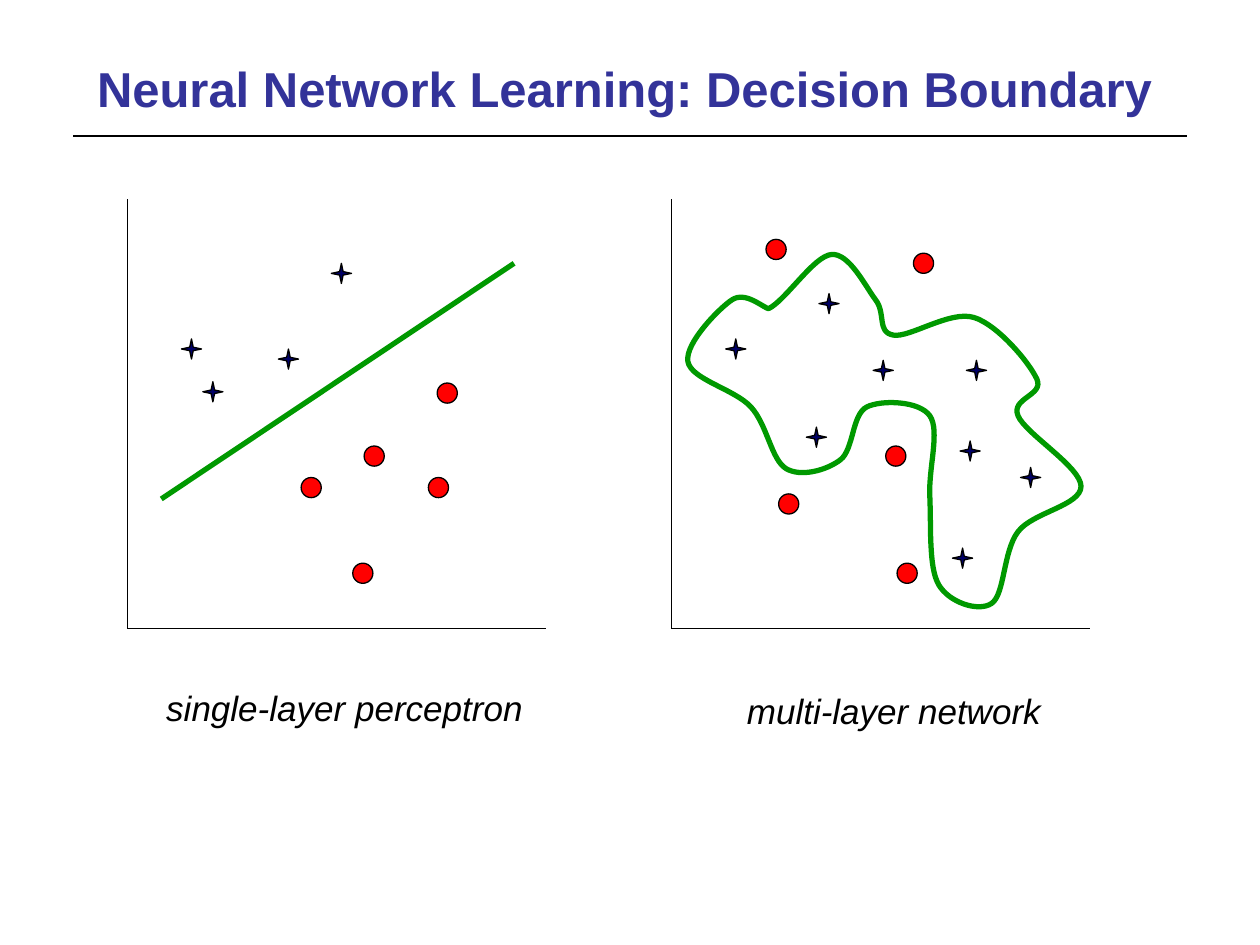
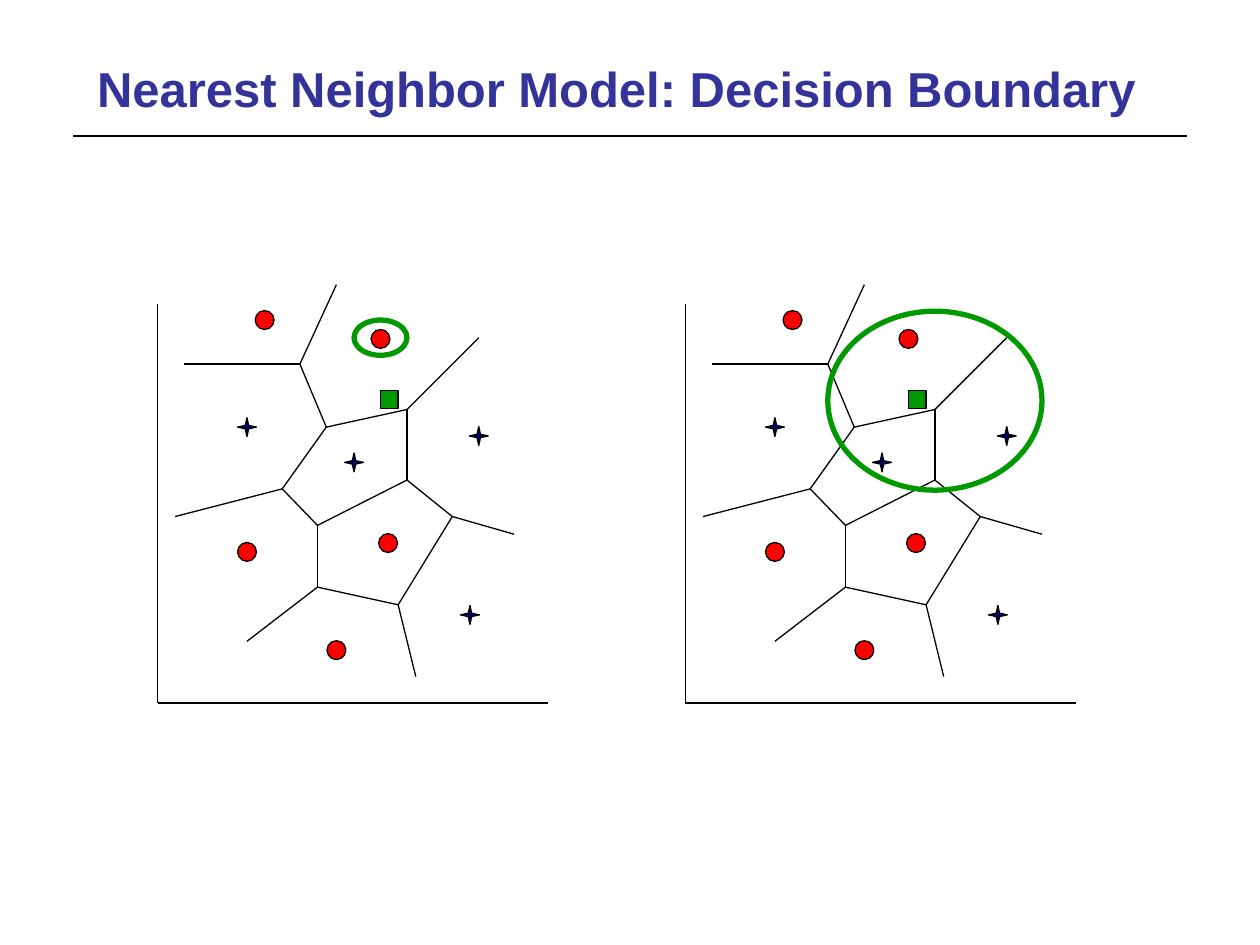
from dataclasses import dataclass
from itertools import pairwise

from pptx import Presentation
from pptx.dml.color import RGBColor
from pptx.enum.shapes import MSO_CONNECTOR as Connector, MSO_SHAPE as Preset
from pptx.enum.text import MSO_ANCHOR as Anchor, MSO_AUTO_SIZE as AutoSize, PP_ALIGN as Align
from pptx.oxml.ns import qn
from pptx.util import Inches, Pt


@dataclass(frozen=True)
class Theme:
    """Colours, type sizes and line widths shared by the slides."""
    title: RGBColor = RGBColor(0x33, 0x33, 0x99)
    ink: RGBColor = RGBColor(0, 0, 0)
    star: RGBColor = RGBColor(0, 0, 0x66)
    dot: RGBColor = RGBColor(0xFF, 0, 0)
    accent: RGBColor = RGBColor(0, 0x99, 0)
    font: str = "Arial"
    title_size: int = 28
    caption_size: int = 20
    thin: float = 0.75
    rule: float = 1
    thick: float = 3


THEME = Theme()

LINEAR_STARS = [(1.7, 0.59), (1.28, 1.27), (0.68, 1.53), (0.51, 1.19)]
LINEAR_DOTS = [(1.96, 2.04), (2.47, 2.29), (1.87, 2.97), (2.54, 1.54), (1.46, 2.29)]
LINEAR_BOUNDARY = [(0.27, 2.38), (3.07, 0.51)]

CURVED_STARS = [(2.42, 1.36), (2.31, 2.85), (1.68, 1.36), (0.51, 1.19),
                (1.25, 0.83), (1.15, 1.89), (2.37, 2.0), (2.85, 2.21)]
CURVED_DOTS = [(1.78, 2.04), (0.93, 2.42), (1.87, 2.97), (2.0, 0.51), (0.83, 0.4)]
CURVED_BOUNDARY = [
    (0.77, 0.87), (1.27, 0.44), (1.62, 0.8), (1.76, 1.08), (2.4, 0.94),
    (2.9, 1.43), (2.75, 1.72), (3.25, 2.28), (2.75, 2.64), (2.54, 3.21),
    (2.12, 3.06), (2.05, 2.36), (2.05, 1.72), (1.55, 1.65), (1.34, 2.07),
    (0.91, 2.14), (0.63, 1.65), (0.13, 1.29), (0.48, 0.8)]

NEIGHBOR_STARS = [(2.55, 1.05), (2.48, 2.47), (1.56, 1.26), (0.71, 0.98)]
NEIGHBOR_DOTS = [(1.83, 1.9), (0.71, 1.97), (1.42, 2.75), (1.77, 0.28), (0.85, 0.13)]
QUERY_POINT = (1.84, 0.76)
CORNERS = {
    "a": (1.13, 0.48), "b": (1.34, 0.98), "c": (1.98, 0.84),
    "d": (0.99, 1.47), "e": (1.27, 1.76), "f": (1.27, 2.25),
    "g": (1.98, 1.4), "h": (2.34, 1.69), "i": (1.91, 2.39)}
CELL_TRAILS = ["abcged", "bd", "efihg"]
OPEN_EDGES = [("a", (0.21, 0.48)), ("a", (1.42, -0.15)), ("c", (2.55, 0.27)),
              ("d", (0.14, 1.69)), ("f", (0.71, 2.68)), ("h", (2.83, 1.83)),
              ("i", (2.05, 2.96))]


def draw_line(shapes, start, end, color=THEME.ink, weight=THEME.thin):
    """Draw a straight line between two points given in inches."""
    line = shapes.add_connector(Connector.STRAIGHT, *map(Inches, (*start, *end)))
    line.line.color.rgb = color
    line.line.width = Pt(weight)
    properties = line._element.spPr
    properties.append(properties.makeelement(qn("a:effectLst"), {}))


def style_shape(shape, fill, color, weight):
    """Give a shape its fill and outline, without a shadow."""
    shape.shadow.inherit = False
    if fill is None:
        shape.fill.background()
    else:
        shape.fill.solid()
        shape.fill.fore_color.rgb = fill
    shape.line.color.rgb = color
    shape.line.width = Pt(weight)


def smooth_loop(anchors, steps=16):
    """Return points of a Catmull-Rom curve that starts and ends at the first anchor."""
    padded = anchors[-1:] + anchors + anchors[:1] * 2
    points = [anchors[0]]
    for span in zip(padded, padded[1:], padded[2:], padded[3:]):
        for step in range(1, steps + 1):
            t = step / steps
            points.append(tuple(
                start + t / 2 * (end - before
                                 + t * (2 * before - 5 * start + 4 * end - after)
                                 + t * t * (3 * (start - end) + after - before))
                for before, start, end, after in zip(*span)))
    return points


class Plot:
    """A pair of axes whose contents are placed from its top left corner."""

    def __init__(self, page, box, marker_size):
        """Draw the two axes along the left and bottom of the box."""
        self.left, self.top, width, height = box
        self.marker_size = marker_size
        self.shapes = page.shapes.add_group_shape().shapes
        self.line((0, 0), (0, height))
        self.line((0, height), (width, height))

    def place(self, point):
        """Turn a point of the plot into a point of the slide."""
        return self.left + point[0], self.top + point[1]

    def line(self, start, end, color=THEME.ink, weight=THEME.thin):
        """Draw a line between two points of the plot."""
        draw_line(self.shapes, self.place(start), self.place(end), color, weight)

    def mark(self, preset, center, size, fill, color=THEME.ink, weight=THEME.thin):
        """Draw a preset shape around a point of the plot."""
        x, y = self.place(center)
        width, height = size
        shape = self.shapes.add_shape(
            preset, *map(Inches, (x - width / 2, y - height / 2, width, height)))
        style_shape(shape, fill, color, weight)
        return shape

    def samples(self, stars, dots):
        """Draw the members of the two classes."""
        size = (self.marker_size, self.marker_size)
        for center in stars:
            self.mark(Preset.STAR_4_POINT, center, size, THEME.star).adjustments[0] = 0.125
        for center in dots:
            self.mark(Preset.OVAL, center, size, THEME.dot)

    def ring(self, center, size):
        """Draw an open ellipse around a neighborhood."""
        self.mark(Preset.OVAL, center, size, None, THEME.accent, THEME.thick)

    def loop(self, anchors):
        """Draw a smooth closed boundary through the anchors."""
        start, *rest = [tuple(map(Inches, self.place(point)))
                        for point in smooth_loop(anchors)]
        builder = self.shapes.build_freeform(*start)
        builder.add_line_segments(rest, close=True)
        style_shape(builder.convert_to_shape(), None, THEME.accent, THEME.thick)


def format_text(para, size, color, bold=False, italic=False):
    """Format every run of a paragraph."""
    for span in para.runs:
        span.font.name = THEME.font
        span.font.size = Pt(size)
        span.font.color.rgb = color
        span.font.bold = bold
        span.font.italic = italic


def add_page(deck, heading):
    """Add a title-only slide with its heading and the rule below it."""
    page = deck.slides.add_slide(deck.slide_layouts[5])
    title = page.shapes.title
    title.left, title.top, title.width, title.height = map(Inches, (0.67, 0.42, 8.67, 1))
    frame = title.text_frame
    frame.text = heading
    frame.auto_size = AutoSize.NONE
    frame.vertical_anchor = Anchor.TOP
    frame.margin_top = Inches(0.04)
    frame.paragraphs[0].alignment = Align.LEFT
    format_text(frame.paragraphs[0], THEME.title_size, THEME.title, bold=True)
    draw_line(page.shapes, (0.58, 1.08), (9.42, 1.08), weight=THEME.rule)
    return page


def add_caption(page, box, text):
    """Add a centred italic caption."""
    frame = page.shapes.add_textbox(*map(Inches, box)).text_frame
    frame.text = text
    frame.word_wrap = False
    frame.auto_size = AutoSize.SHAPE_TO_FIT_TEXT
    frame.paragraphs[0].alignment = Align.CENTER
    format_text(frame.paragraphs[0], THEME.caption_size, THEME.ink, italic=True)


def add_neighbor_plot(page, box, ring_center, ring_size):
    """Draw the samples, their cells, the query point and its neighborhood."""
    plot = Plot(page, box, 0.15)
    plot.samples(NEIGHBOR_STARS, NEIGHBOR_DOTS)
    for trail in CELL_TRAILS:
        for start, end in pairwise(trail):
            plot.line(CORNERS[start], CORNERS[end])
    for corner, end in OPEN_EDGES:
        plot.line(CORNERS[corner], end)
    plot.mark(Preset.RECTANGLE, QUERY_POINT, (0.14, 0.14), THEME.accent)
    plot.ring(ring_center, ring_size)


def add_network_page(deck):
    """Compare the boundaries of one layer and of several layers."""
    page = add_page(deck, "Neural Network Learning: Decision Boundary")
    linear = Plot(page, (1.01, 1.58, 3.32, 3.41), 0.16)
    linear.samples(LINEAR_STARS, LINEAR_DOTS)
    linear.line(*LINEAR_BOUNDARY, THEME.accent, THEME.thick)
    curved = Plot(page, (5.33, 1.58, 3.32, 3.41), 0.16)
    curved.samples(CURVED_STARS, CURVED_DOTS)
    curved.loop(CURVED_BOUNDARY)
    add_caption(page, (1.21, 5.4, 3.05, 0.44), "single-layer perceptron")
    add_caption(page, (5.82, 5.42, 2.55, 0.44), "multi-layer network")


def add_neighbor_page(deck):
    """Compare a small and a large neighborhood of the query point."""
    page = add_page(deck, "Nearest Neighbor Model: Decision Boundary")
    add_neighbor_plot(page, (1.25, 2.41, 3.1, 3.17), (1.77, 0.27), (0.42, 0.28))
    add_neighbor_plot(page, (5.44, 2.41, 3.1, 3.17), (1.98, 0.77), (1.7, 1.42))


def main():
    """Build and save the deck."""
    deck = Presentation()
    deck.slide_width, deck.slide_height = Inches(10), Inches(7.5)
    add_network_page(deck)
    add_neighbor_page(deck)
    deck.save("out.pptx")


if __name__ == "__main__":
    main()
